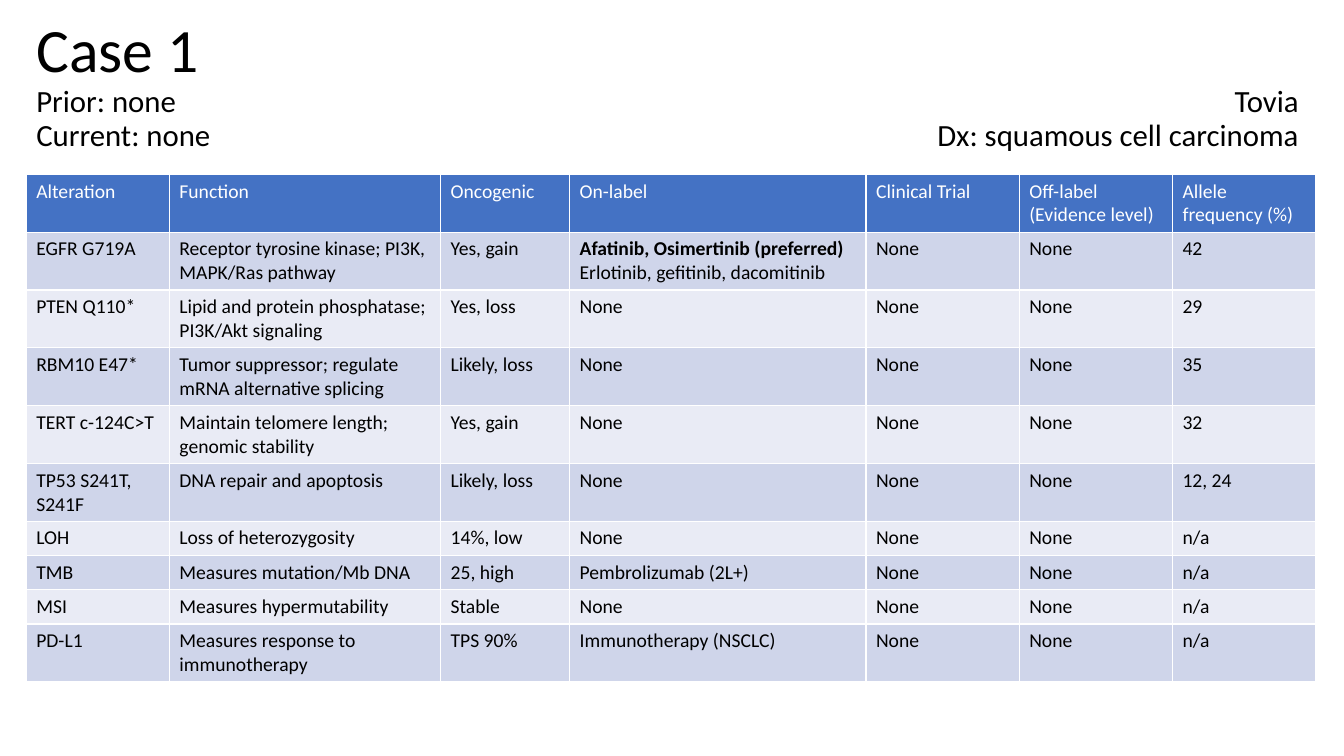
from dataclasses import dataclass

from pptx import Presentation
from pptx import util as u
from pptx.dml.color import RGBColor
from pptx.enum import text
from pptx.oxml import parse_xml
from pptx.oxml.ns import nsdecls

# Content
CASE = "Case 1"
DETAILS = [
    ("Prior: none", "Tovia"),
    ("Current: none", "Dx: squamous cell carcinoma"),
]
HEADINGS = ["Alteration", "Function", "Oncogenic", "On-label", "Clinical Trial",
            "Off-label (Evidence level)", "Allele frequency (%)"]
PREFERRED = "Afatinib, Osimertinib (preferred)"
# Alteration, function, oncogenic, on-label lines, allele frequency, text lines
FINDINGS = [
    ("EGFR G719A", "Receptor tyrosine kinase; PI3K, MAPK/Ras pathway", "Yes, gain",
     PREFERRED + "\nErlotinib, gefitinib, dacomitinib", "42", 2),
    ("PTEN Q110*", "Lipid and protein phosphatase; PI3K/Akt signaling", "Yes, loss",
     "None", "29", 2),
    ("RBM10 E47*", "Tumor suppressor; regulate mRNA alternative splicing", "Likely, loss",
     "None", "35", 2),
    ("TERT c-124C>T", "Maintain telomere length; genomic stability", "Yes, gain",
     "None", "32", 2),
    ("TP53 S241T, S241F", "DNA repair and apoptosis", "Likely, loss",
     "None", "12, 24", 2),
    ("LOH", "Loss of heterozygosity", "14%, low", "None", "n/a", 1),
    ("TMB", "Measures mutation/Mb DNA", "25, high", "Pembrolizumab (2L+)", "n/a", 1),
    ("MSI", "Measures hypermutability", "Stable", "None", "n/a", 1),
    ("PD-L1", "Measures response to immunotherapy", "TPS 90%",
     "Immunotherapy (NSCLC)", "n/a", 2),
]


@dataclass(frozen=True)
class Theme:
    font: str = "Calibri"
    ink: str = "000000"
    white: str = "FFFFFF"
    header: str = "4472C4"
    bands: tuple = ("CFD5EA", "E9EBF5")
    title_size: int = 44
    detail_size: int = 22
    cell_size: int = 14


THEME = Theme()

# Layout, in inches
LEFT, WIDTH = 0.26, 12.78
TITLE_TOP, TITLE_HEIGHT = 0.13, 1.45
RIGHT_TAB = 12.52
TABLE_TOP = 1.73
COLUMNS = [1.42, 2.69, 1.28, 2.94, 1.52, 1.52, 1.42]
ROW_HEIGHT = {1: 0.34, 2: 0.57}


def add_span(para, words, size, color=THEME.ink, bold=False):
    span = para.add_run()
    span.text = words
    span.font.name = THEME.font
    span.font.size = u.Pt(size)
    span.font.bold = bold
    span.font.color.rgb = RGBColor.from_string(color)


def add_title(page):
    box = page.shapes.title
    box.left, box.top = u.Inches(LEFT), u.Inches(TITLE_TOP)
    box.width, box.height = u.Inches(WIDTH), u.Inches(TITLE_HEIGHT)
    frame = box.text_frame
    frame.word_wrap = True
    frame.auto_size = text.MSO_AUTO_SIZE.NONE
    frame.vertical_anchor = text.MSO_ANCHOR.MIDDLE
    para = frame.paragraphs[0]
    para.alignment = text.PP_ALIGN.LEFT
    para.line_spacing = 0.9
    # Right-hand details sit on a right-aligned tab
    para._p.get_or_add_pPr().append(parse_xml(
        f'<a:tabLst {nsdecls("a")}><a:tab pos="{u.Inches(RIGHT_TAB)}" algn="r"/></a:tabLst>'))
    add_span(para, CASE, THEME.title_size)
    for detail in DETAILS:
        para.add_line_break()
        add_span(para, "\t".join(detail), THEME.detail_size)


def fill_cell(cell, words, fill, color):
    cell.fill.solid()
    cell.fill.fore_color.rgb = RGBColor.from_string(fill)
    frame = cell.text_frame
    for index, line in enumerate(words.split("\n")):
        para = frame.add_paragraph() if index else frame.paragraphs[0]
        add_span(para, line, THEME.cell_size, color, bold=line == PREFERRED)


def add_findings(page):
    rows = [(HEADINGS, 2, THEME.header, THEME.white)]
    for index, (name, function, oncogenic, on_label, frequency, lines) in enumerate(FINDINGS):
        words = [name, function, oncogenic, on_label, "None", "None", frequency]
        rows.append((words, lines, THEME.bands[index % 2], THEME.ink))
    height = sum(ROW_HEIGHT[lines] for _, lines, _, _ in rows)
    # The table style supplies the white cell borders
    table = page.shapes.add_table(len(rows), len(COLUMNS), u.Inches(LEFT), u.Inches(TABLE_TOP),
                                  u.Inches(WIDTH), u.Inches(height)).table
    for column, width in zip(table.columns, COLUMNS):
        column.width = u.Inches(width)
    for row, (words, lines, fill, color) in zip(table.rows, rows):
        row.height = u.Inches(ROW_HEIGHT[lines])
        for cell, entry in zip(row.cells, words):
            fill_cell(cell, entry, fill, color)


def main():
    deck = Presentation()
    deck.slide_width, deck.slide_height = u.Inches(13.33), u.Inches(7.5)
    page = deck.slides.add_slide(deck.slide_layouts.get_by_name("Title Only"))
    add_title(page)
    add_findings(page)
    deck.save("out.pptx")


if __name__ == "__main__":
    main()
